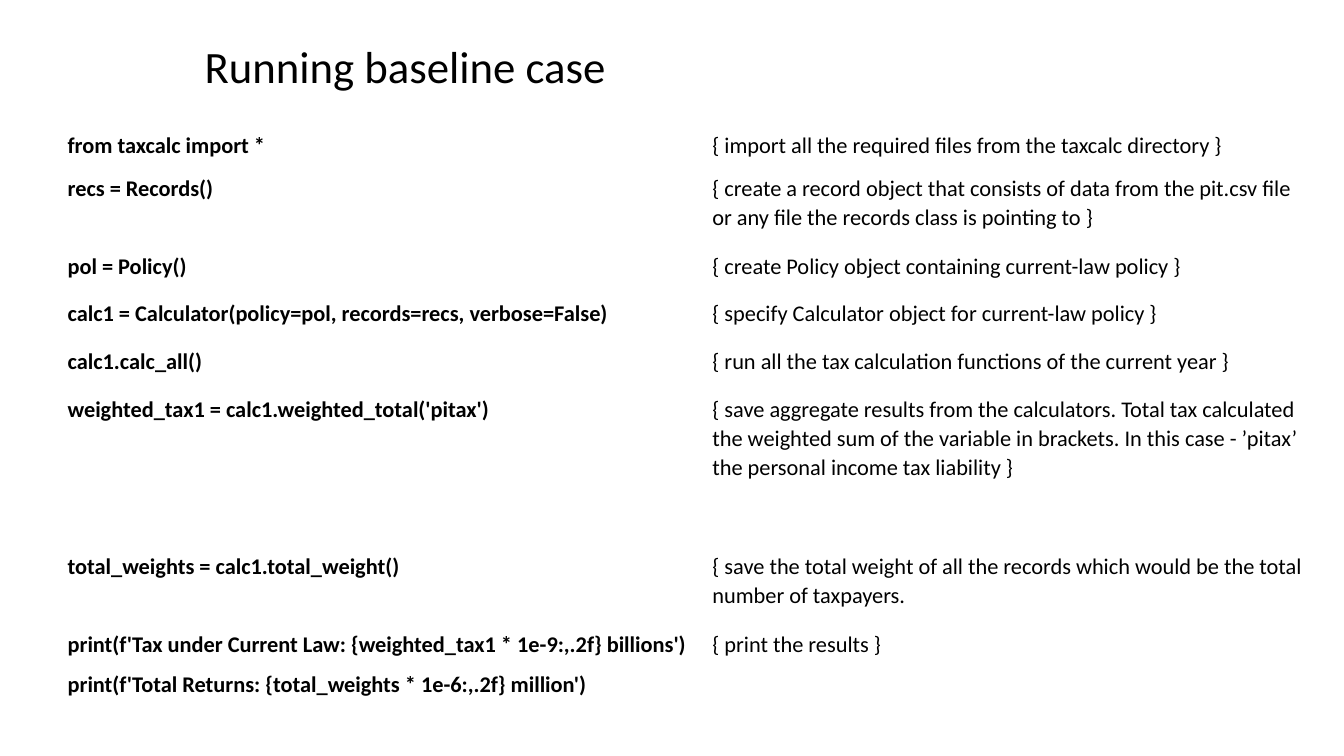
from lxml import etree
from pptx import Presentation
from pptx import util as u
from pptx.dml.color import RGBColor
from pptx.enum import text
from pptx.oxml import ns

BLACK = RGBColor(0x00, 0x00, 0x00)
WHITE = RGBColor(0xFF, 0xFF, 0xFF)
FONT = "Calibri"

# Content: code, explanation, row height in cm
TITLE = "Running baseline case"
STEPS = [
    ("from taxcalc import *",
     "{ import all the required files from the taxcalc directory }", 1.09),
    ("recs = Records()",
     "{ create a record object that consists of data from the pit.csv file "
     "or any file the records class is pointing to }", 1.96),
    ("pol = Policy()",
     "{ create Policy object containing current-law policy }", 1.2),
    ("calc1 = Calculator(policy=pol, records=recs, verbose=False)",
     "{ specify Calculator object for current-law policy }", 1.2),
    ("calc1.calc_all()",
     "{ run all the tax calculation functions of the current year }", 1.2),
    ("weighted_tax1 = calc1.weighted_total('pitax')",
     "{ save aggregate results from the calculators. Total tax calculated "
     "the weighted sum of the variable in brackets. In this case - ’pitax’ "
     "the personal income tax liability }", 3.96),
    ("total_weights = calc1.total_weight()",
     "{ save the total weight of all the records which would be the total "
     "number of taxpayers.", 1.96),
    ("print(f'Tax under Current Law: {weighted_tax1 * 1e-9:,.2f} billions')\n"
     "print(f'Total Returns: {total_weights * 1e-6:,.2f} million')",
     "{ print the results }", 3.12),
]
COL_WIDTHS = (16.25, 15.5)


def format_text(tf, size, spacing, after=0, bold=False):
    for p in tf.paragraphs:
        p.alignment = text.PP_ALIGN.LEFT
        p.line_spacing = spacing
        p.space_after = u.Pt(after)
        for r in p.runs:
            r.font.name = FONT
            r.font.size = u.Pt(size)
            r.font.bold = bold
            r.font.color.rgb = BLACK


def set_borders(cell, color):
    tcPr = cell._tc.get_or_add_tcPr()
    for i, side in enumerate(("lnL", "lnR", "lnT", "lnB")):
        ln = etree.Element(ns.qn(f"a:{side}"), w=str(u.Pt(1)))
        fill = etree.SubElement(ln, ns.qn("a:solidFill"))
        etree.SubElement(fill, ns.qn("a:srgbClr"), val=str(color))
        tcPr.insert(i, ln)


prs = Presentation()
prs.slide_width, prs.slide_height = u.Cm(33.87), u.Cm(19.05)
s = prs.slides.add_slide(prs.slide_layouts[5])

# Title
title = s.shapes.title
title.left, title.top = u.Cm(4.9), u.Cm(0.61)
title.width, title.height = u.Cm(24.77), u.Cm(2.26)
tf = title.text_frame
tf.text = TITLE
tf.vertical_anchor = text.MSO_ANCHOR.MIDDLE
format_text(tf, 32, 0.9)

# Table of code and explanations
table = s.shapes.add_table(
    len(STEPS), len(COL_WIDTHS), u.Cm(1.45), u.Cm(3.15),
    u.Cm(sum(COL_WIDTHS)), u.Cm(sum(step[2] for step in STEPS))).table
table.first_row = table.horz_banding = False
for col, width in zip(table.columns, COL_WIDTHS):
    col.width = u.Cm(width)
for row, (code, note, height) in zip(table.rows, STEPS):
    row.height = u.Cm(height)
    for cell, words, bold in zip(row.cells, (code, note), (True, False)):
        cell.text_frame.text = words
        format_text(cell.text_frame, 16, 1.07, after=8, bold=bold)
        cell.fill.solid()
        cell.fill.fore_color.rgb = WHITE
        set_borders(cell, WHITE)

prs.save("out.pptx")
